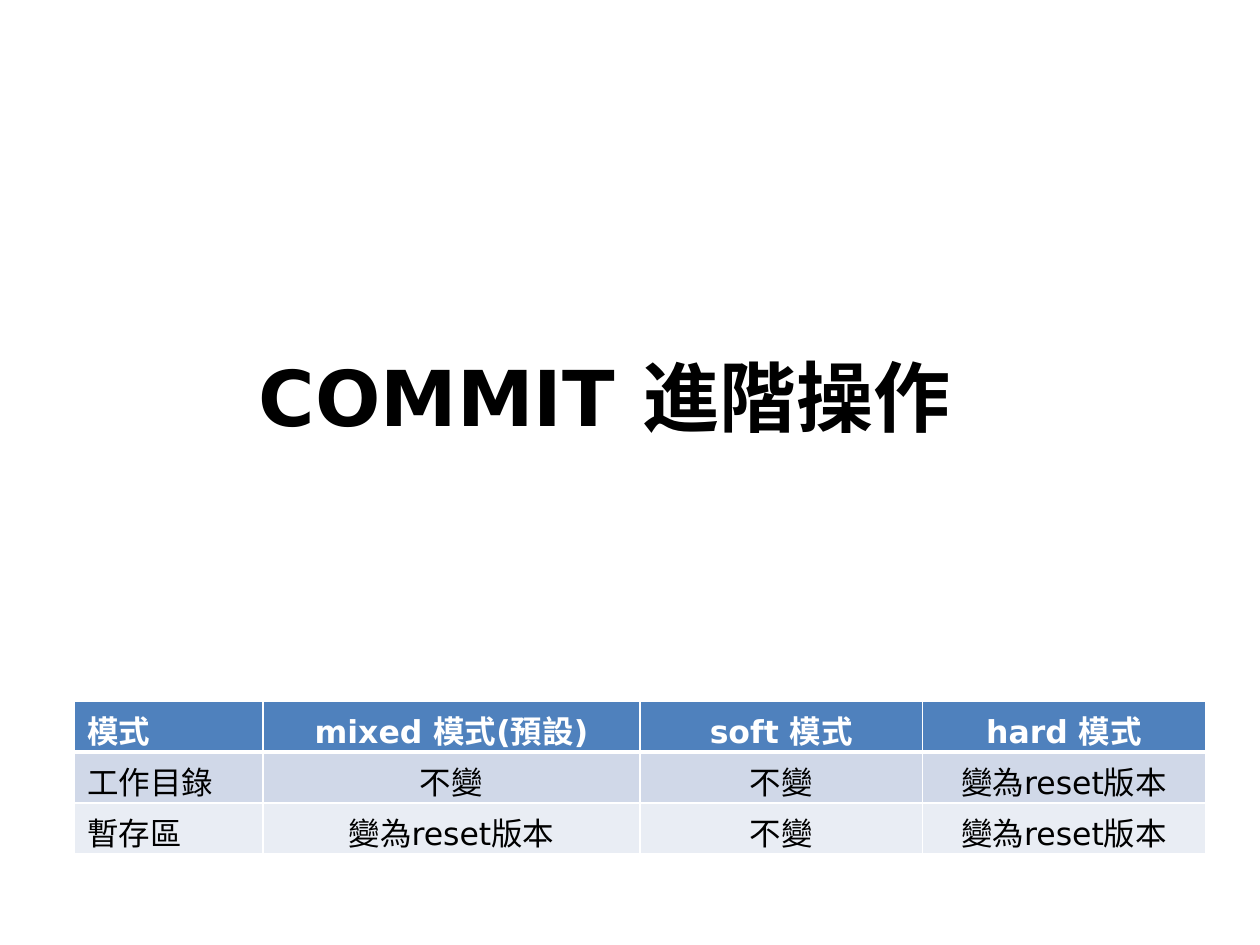
from lxml import etree
from pptx import Presentation
from pptx.dml.color import RGBColor
from pptx.enum.text import MSO_ANCHOR, PP_ALIGN
from pptx.oxml.ns import qn
from pptx.util import Cm, Pt

LEFT, CENTER = PP_ALIGN.LEFT, PP_ALIGN.CENTER
TOP, MIDDLE = MSO_ANCHOR.TOP, MSO_ANCHOR.MIDDLE

TITLE = "COMMIT 進階操作"
MODES = [
    ("模式", "mixed 模式(預設)", "soft 模式", "hard 模式"),
    ("工作目錄", "不變", "不變", "變為reset版本"),
    ("暫存區", "變為reset版本", "不變", "變為reset版本"),
]
COL_WIDTHS = (3.8, 7.6, 5.7, 5.7)
ROW_HEIGHT = 1.03
TITLE_BOX = (4.09, 6.93, 16.2, 4.6)
TABLE_AT = (1.5, 14.13)

FONT = "DejaVu Sans"
THEME = {
    "title": {"name": FONT, "size": Pt(44), "bold": True, "color": "000000"},
    "head": {"name": FONT, "size": Pt(18), "bold": True, "color": "FFFFFF"},
    "body": {"name": FONT, "size": Pt(18), "bold": False, "color": "000000"},
    "fills": ("4F81BD", "D0D8E8", "E9EDF4"),
    "border": "FFFFFF",
    "line": Pt(1),
    "head_line": Pt(3),
}


def write(tf, text, style, align):
    """Write one formatted paragraph into a text frame."""
    p = tf.paragraphs[0]
    p.alignment = align
    r = p.add_run()
    r.text = text
    for key, value in THEME[style].items():
        if key == "color":
            r.font.color.rgb = RGBColor.from_string(value)
        else:
            setattr(r.font, key, value)


def set_borders(cell, top, bottom):
    """Draw the four borders of a table cell."""
    widths = {"lnL": THEME["line"], "lnR": THEME["line"], "lnT": top, "lnB": bottom}
    tc_pr = cell._tc.get_or_add_tcPr()
    for side, width in widths.items():
        ln = etree.SubElement(tc_pr, qn(f"a:{side}"), w=str(width))
        fill = etree.SubElement(ln, qn("a:solidFill"))
        etree.SubElement(fill, qn("a:srgbClr"), val=THEME["border"])


def add_title(s):
    """Add the centred slide title."""
    tf = s.shapes.add_textbox(*map(Cm, TITLE_BOX)).text_frame
    tf.word_wrap = True
    tf.vertical_anchor = TOP
    write(tf, TITLE, "title", CENTER)


def add_modes(s):
    """Add the table of reset modes."""
    size = (sum(COL_WIDTHS), ROW_HEIGHT * len(MODES))
    table = s.shapes.add_table(
        len(MODES), len(COL_WIDTHS), *map(Cm, TABLE_AT + size)
    ).table
    for col, width in zip(table.columns, COL_WIDTHS):
        col.width = Cm(width)
    edges = (THEME["line"], THEME["head_line"], THEME["line"], THEME["line"])
    for i, row in enumerate(MODES):
        table.rows[i].height = Cm(ROW_HEIGHT)
        for j, text in enumerate(row):
            cell = table.cell(i, j)
            set_borders(cell, edges[i], edges[i + 1])
            cell.fill.solid()
            cell.fill.fore_color.rgb = RGBColor.from_string(THEME["fills"][i])
            cell.vertical_anchor = MIDDLE
            write(cell.text_frame, text, "body" if i else "head", CENTER if j else LEFT)


def main():
    """Build and save the slide."""
    prs = Presentation()
    prs.slide_width, prs.slide_height = Cm(25.4), Cm(19.05)
    s = prs.slides.add_slide(prs.slide_layouts[6])
    add_title(s)
    add_modes(s)
    prs.save("out.pptx")


if __name__ == "__main__":
    main()
